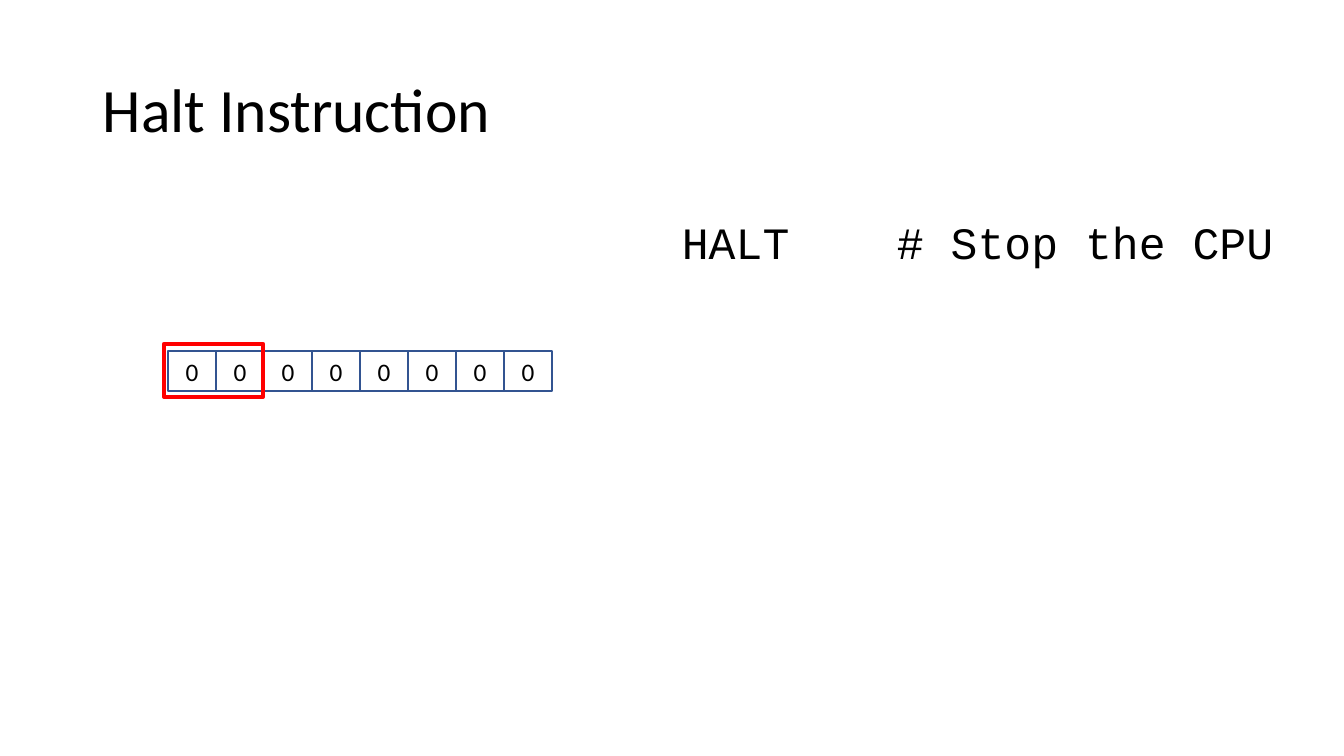
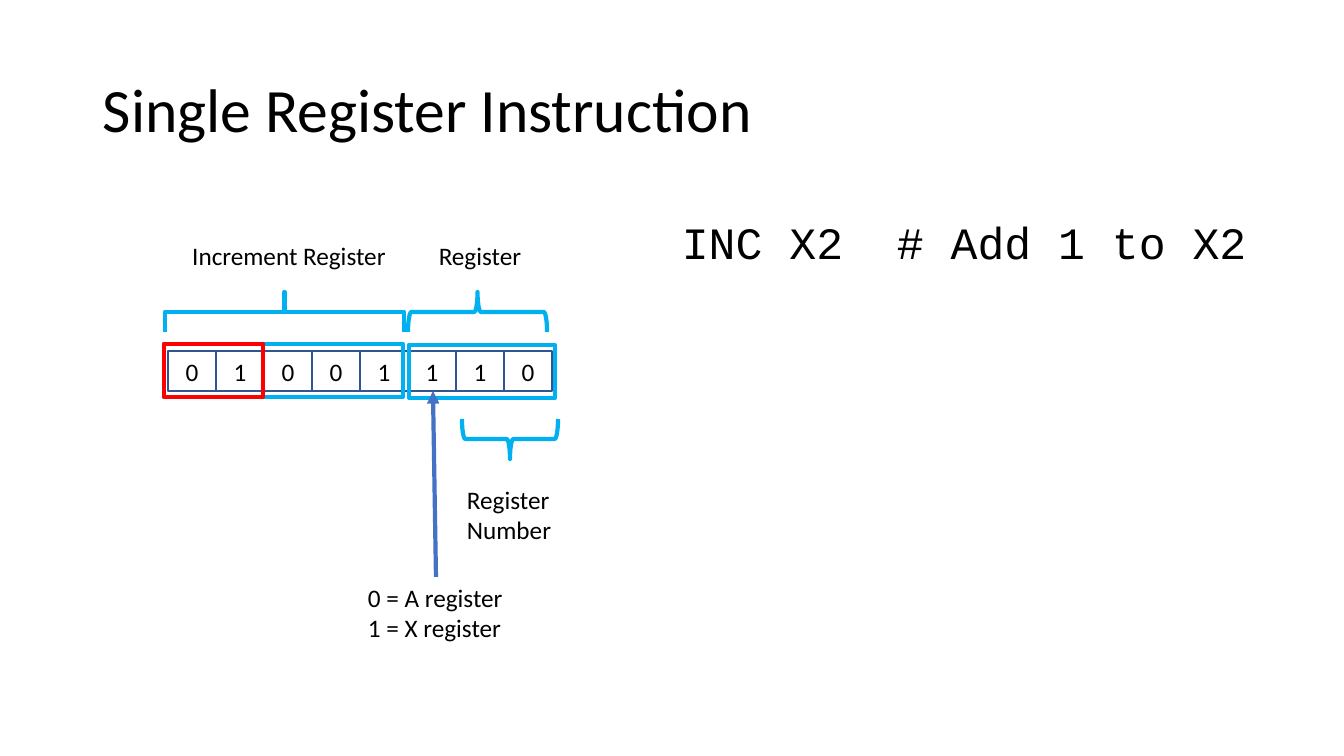
from dataclasses import dataclass
from lxml.etree import SubElement
from pptx import Presentation
from pptx.dml.color import RGBColor
from pptx.enum.shapes import MSO_CONNECTOR as Connector, MSO_SHAPE as Preset
from pptx.enum.text import MSO_ANCHOR as Anchor, PP_ALIGN as Align
from pptx.oxml.ns import qn
from pptx.util import Emu, Pt


@dataclass(frozen=True)
class Theme:
    ink: str = "000000"
    cell: str = "325491"
    opcode: str = "FF0000"
    field: str = "00B0F0"
    arrow: str = "4472C4"
    body: str = "Calibri"
    code: str = "Courier New"
    title_size: int = 44
    code_size: int = 32
    label_size: int = 18
    thin: int = 1
    thick: int = 3


SLIDES = [
    {"title": "Halt Instruction",
     "bits": "00000000",
     "code": "HALT\t# Stop the CPU"},
    {"title": "Single Register Instruction",
     "bits": "01001110",
     "code": "INC X2\t# Add 1 to X2",
     "fields": [(164, 344, 239, 53), (409, 345, 146, 53)],
     "braces": [((462, 419, 96, 40), 270, None),
                ((408, 292, 139, 40), 90, None),
                ((165, 292, 239, 40), 90, 0)],
     "labels": [(("Register", "Number"), (457, 479, 106, 72), Align.LEFT),
                (("0 = A register", "1 = X register"), (358, 577, 156, 72), Align.LEFT),
                (("Register",), (428, 235, 104, 40), Align.CENTER),
                (("Increment Register",), (181, 235, 216, 40), Align.CENTER)],
     "arrow": (436, 577, 433, 391)},
]
TITLE_BOX = (93, 40, 1159, 146)
CODE_BOX = (672, 210, 619, 65)
COMMENT_TAB = 215
OPCODE_BOX = (164, 344, 99, 53)
CELLS_LEFT, CELLS_TOP, CELL_WIDTH, CELL_HEIGHT = 168, 351, 48, 40
SLIDE_SIZE = (1344, 756)
theme = Theme()


def px(value):
    return Emu(round(value * 914400 / 100.8))


def scaled(lengths):
    return [px(value) for value in lengths]


def write(box, *lines, size=theme.label_size, font=theme.body, align=Align.LEFT,
          anchor=Anchor.TOP, wrap=False, spacing=None, tab=None):
    frame = box.text_frame
    frame.word_wrap = wrap
    frame.vertical_anchor = anchor
    for index, line in enumerate(lines):
        para = frame.add_paragraph() if index else frame.paragraphs[0]
        para.alignment = align
        if spacing:
            para.line_spacing = spacing
        if tab:
            stops = SubElement(para._p.get_or_add_pPr(), qn("a:tabLst"))
            SubElement(stops, qn("a:tab"), pos=str(px(tab)), algn="l")
        span = para.add_run()
        span.text = line
        span.font.name = font
        span.font.size = Pt(size)
        span.font.color.rgb = RGBColor.from_string(theme.ink)


def add_text(page, place, *lines, **style):
    write(page.shapes.add_textbox(*scaled(place)), *lines, **style)


def add_outline(shapes, place, color, width=theme.thick, preset=Preset.RECTANGLE):
    shape = shapes.add_shape(preset, *scaled(place))
    shape.shadow.inherit = False
    shape.fill.background()
    shape.line.color.rgb = RGBColor.from_string(color)
    shape.line.width = Pt(width)
    return shape


def add_brace(page, place, turn, curve):
    left, top, width, height = place
    shift = (width - height) / 2
    upright = (left + shift, top - shift, height, width)
    brace = add_outline(page.shapes, upright, theme.field, preset=Preset.LEFT_BRACE)
    brace.rotation = turn
    if curve is not None:
        brace.adjustments[0] = curve


def add_arrow(page, ends):
    arrow = page.shapes.add_connector(Connector.STRAIGHT, *scaled(ends))
    arrow.line.color.rgb = RGBColor.from_string(theme.arrow)
    arrow.line.width = Pt(theme.thick)
    SubElement(arrow.line._get_or_add_ln(), qn("a:tailEnd"), type="triangle")
    SubElement(arrow._element.spPr, qn("a:effectLst"))


def add_bits(page, bits):
    group = page.shapes.add_group_shape()
    for index, bit in enumerate(bits):
        place = (CELLS_LEFT + index * CELL_WIDTH, CELLS_TOP, CELL_WIDTH, CELL_HEIGHT)
        cell = add_outline(group.shapes, place, theme.cell, theme.thin)
        write(cell, bit, align=Align.CENTER, anchor=Anchor.MIDDLE, wrap=True)


def build(deck, content):
    page = deck.slides.add_slide(deck.slide_layouts[6])
    add_text(page, TITLE_BOX, content["title"], size=theme.title_size,
             anchor=Anchor.MIDDLE, wrap=True, spacing=0.9)
    add_bits(page, content["bits"])
    add_text(page, CODE_BOX, content["code"], size=theme.code_size,
             font=theme.code, wrap=True, tab=COMMENT_TAB)
    for place in content.get("fields", ()):
        add_outline(page.shapes, place, theme.field)
    for brace in content.get("braces", ()):
        add_brace(page, *brace)
    for lines, place, align in content.get("labels", ()):
        add_text(page, place, *lines, align=align)
    if "arrow" in content:
        add_arrow(page, content["arrow"])
    add_outline(page.shapes, OPCODE_BOX, theme.opcode)


deck = Presentation()
deck.slide_width, deck.slide_height = scaled(SLIDE_SIZE)
for content in SLIDES:
    build(deck, content)
deck.save("out.pptx")
